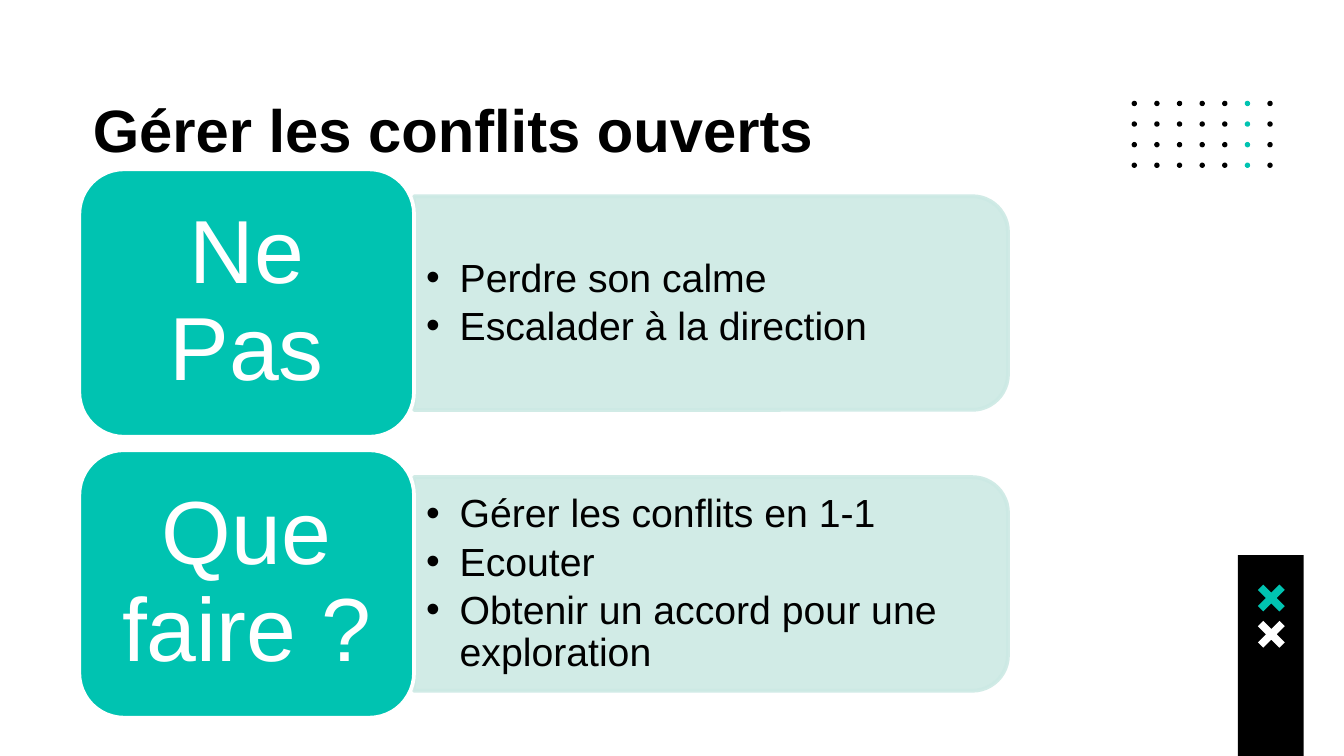
"""Build the slide on handling open conflicts: what to avoid and what to do."""
from lxml.etree import SubElement
from pptx import Presentation
from pptx.dml.color import RGBColor
from pptx.enum.shapes import MSO_SHAPE as Shape
from pptx.enum.text import MSO_ANCHOR as Anchor, MSO_AUTO_SIZE as AutoSize, PP_ALIGN as Align
from pptx.oxml.ns import qn
from pptx.util import Inches, Pt

BLACK = RGBColor(0x00, 0x00, 0x00)
WHITE = RGBColor(0xFF, 0xFF, 0xFF)
TEAL = RGBColor(0x00, 0xC3, 0xB1)
MINT = RGBColor(0xCC, 0xE9, 0xE4)
FONT = "Arial"
ROWS = [
    ("Ne Pas", ["Perdre son calme", "Escalader à la direction"]),
    ("Que faire ?", ["Gérer les conflits en 1-1", "Ecouter",
                     "Obtenir un accord pour une exploration"]),
]
SLIDE_WIDTH = 10
SLIDE_HEIGHT = SLIDE_WIDTH * 9 / 16
BAR_TOP = 4.13
ROW_TOP, ROW_PITCH = 1.26, 2.09
LABEL_WIDTH, LABEL_HEIGHT = 2.49, 1.99
BAND_LEFT, BAND_WIDTH, BAND_HEIGHT = 3.08, 4.42, 1.59
CROSS = [(0.04, 0), (0, 0.04), (0.06, 0.1), (0, 0.16), (0.04, 0.2), (0.1, 0.14),
         (0.16, 0.2), (0.2, 0.16), (0.14, 0.1), (0.2, 0.04), (0.16, 0), (0.1, 0.06)]


def paint(shape, color, line=None):
    """Give a shape a flat fill and an optional 2 pt outline."""
    shape.shadow.inherit = False
    shape.fill.solid()
    shape.fill.fore_color.rgb = color
    if line is None:
        shape.line.fill.background()
    else:
        shape.line.color.rgb = line
        shape.line.width = Pt(2)


def add_box(page, kind, left, top, width, height, color, line=None):
    """Add a painted preset shape."""
    box = page.shapes.add_shape(kind, Inches(left), Inches(top), Inches(width), Inches(height))
    paint(box, color, line)
    return box


def place(holder, left, top, width, height):
    """Move a placeholder."""
    holder.left, holder.top = Inches(left), Inches(top)
    holder.width, holder.height = Inches(width), Inches(height)


def set_frame(frame, side, edge, anchor=Anchor.MIDDLE):
    """Set margins, wrapping and anchoring of a text frame."""
    frame.auto_size = AutoSize.NONE
    frame.word_wrap = True
    frame.vertical_anchor = anchor
    frame.margin_left = frame.margin_right = Inches(side)
    frame.margin_top = frame.margin_bottom = Inches(edge)


def write(para, text, size, color, align=Align.LEFT, bold=False, spacing=0.9, after=0):
    """Write one formatted run into a paragraph."""
    para.alignment = align
    para.line_spacing = spacing
    para.space_before = Pt(0)
    para.space_after = Pt(after)
    span = para.add_run()
    span.text = text
    span.font.name = FONT
    span.font.size = Pt(size)
    span.font.bold = bold
    span.font.color.rgb = color


def add_bullet(para):
    """Give a paragraph a black bullet with a hanging indent."""
    para.level = 1
    props = para._p.get_or_add_pPr()
    props.set("marL", str(Inches(0.25)))
    props.set("indent", str(-Inches(0.25)))
    tint = SubElement(props, qn("a:buClr"))
    SubElement(tint, qn("a:srgbClr"), val=str(BLACK))
    SubElement(props, qn("a:buChar"), char="•")


def add_band(page, top):
    """Add the translucent band, turned so that its round corners face right."""
    left = BAND_LEFT + (BAND_WIDTH - BAND_HEIGHT) / 2
    upper = top + (LABEL_HEIGHT - BAND_WIDTH) / 2
    band = add_box(page, Shape.ROUND_2_SAME_RECTANGLE, left, upper,
                   BAND_HEIGHT, BAND_WIDTH, MINT, MINT)
    band.rotation = 90
    for color in band.element.spPr.iter(qn("a:srgbClr")):
        SubElement(color, qn("a:alpha"), val="90000")
    return band


def add_row(page, holder, top, label, items):
    """Add a label card with its band and bulleted list."""
    band = add_band(page, top)
    place(holder, BAND_LEFT, top + 0.28, 4.34, 1.44)
    band.element.addnext(holder.element)
    frame = holder.text_frame
    set_frame(frame, 0.09, 0.04)
    for index, item in enumerate(items):
        para = frame.add_paragraph() if index else frame.paragraphs[0]
        add_bullet(para)
        write(para, item, 21, BLACK, after=3.15)
    card = add_box(page, Shape.ROUNDED_RECTANGLE, 0.59, top,
                   LABEL_WIDTH, LABEL_HEIGHT, TEAL, WHITE)
    set_frame(card.text_frame, 0.2, 0.1)
    write(card.text_frame.paragraphs[0], label, 48, WHITE, align=Align.CENTER, after=16.8)


def add_dots(page):
    """Add the dot grid with one teal column."""
    for row in range(4):
        for column in range(7):
            add_box(page, Shape.OVAL, 8.42 + column * 1.01 / 6, 0.75 + row * 0.46 / 3,
                    0.04, 0.04, TEAL if column == 5 else BLACK)


def add_cross(page, left, top, color):
    """Add a small diagonal cross."""
    points = [(Inches(left + x), Inches(top + y)) for x, y in CROSS]
    builder = page.shapes.build_freeform(*points[0])
    builder.add_line_segments(points[1:], close=True)
    paint(builder.convert_to_shape(), color)


def main():
    """Build and save the deck."""
    deck = Presentation()
    deck.slide_width, deck.slide_height = Inches(SLIDE_WIDTH), Inches(SLIDE_HEIGHT)
    page = deck.slides.add_slide(deck.slide_layouts[3])
    title, *lists = page.placeholders
    add_dots(page)
    add_box(page, Shape.RECTANGLE, 9.21, BAR_TOP, 0.49, SLIDE_HEIGHT - BAR_TOP, BLACK)
    add_cross(page, 9.36, 4.35, TEAL)
    add_cross(page, 9.36, 4.62, WHITE)
    place(title, 0.59, 0.59, 8.86, 0.79)
    set_frame(title.text_frame, 0.1, 0.1, anchor=Anchor.TOP)
    write(title.text_frame.paragraphs[0], "Gérer les conflits ouverts", 32, BLACK,
          bold=True, spacing=1.0)
    for index, (holder, (label, items)) in enumerate(zip(lists, ROWS)):
        add_row(page, holder, ROW_TOP + index * ROW_PITCH, label, items)
    deck.save("out.pptx")


if __name__ == "__main__":
    main()
